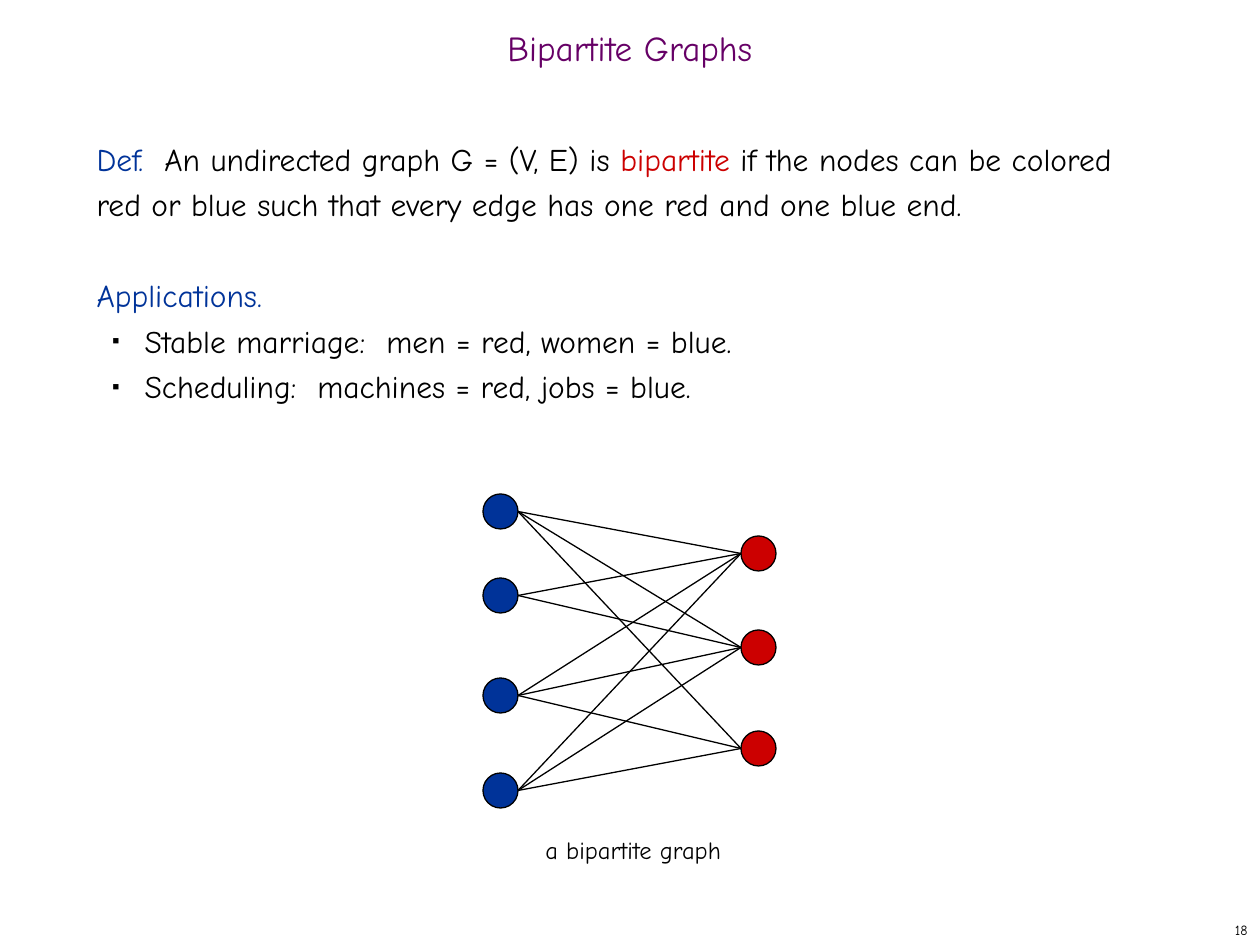
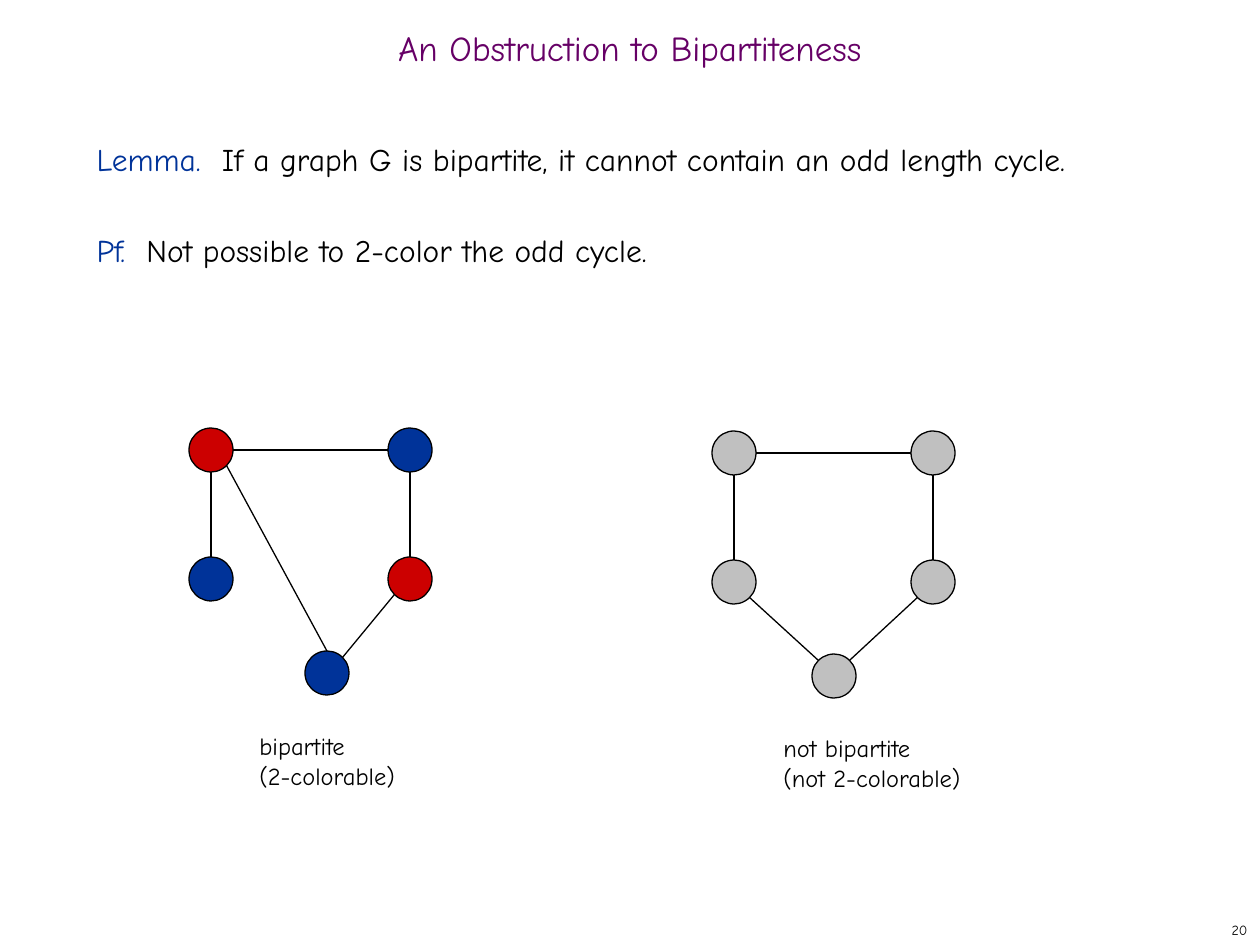
from dataclasses import dataclass
from math import cos, radians, sin

from lxml.etree import SubElement
from pptx import Presentation
from pptx.dml.color import RGBColor
from pptx.enum.shapes import MSO_CONNECTOR, MSO_SHAPE
from pptx.enum.text import MSO_ANCHOR, MSO_AUTO_SIZE, PP_ALIGN
from pptx.oxml.ns import qn
from pptx.util import Pt

EMU_PER_PX = 914400 / 126
EAST, SOUTH_EAST, SOUTH, SOUTH_WEST = 0, 45, 90, 135
WEST, NORTH_WEST, NORTH, NORTH_EAST = 180, 225, 270, 315


@dataclass(frozen=True)
class Theme:
    font: str = "Comic Neue"
    ink: str = "000000"
    purple: str = "660066"
    blue: str = "003399"
    red: str = "CC0000"
    gray: str = "C0C0C0"
    title_size: int = 20
    body_size: int = 18
    caption_size: int = 14
    number_size: int = 8
    leading: int = 26
    line_width: float = 0.75


THEME = Theme()


def px(length):
    return round(length * EMU_PER_PX)


def color(code):
    return RGBColor.from_string(code)


def style_span(span, size, code=THEME.ink):
    span.font.name = THEME.font
    span.font.size = Pt(size)
    span.font.color.rgb = color(code)


def style_frame(frame, size, code=THEME.ink, align=PP_ALIGN.LEFT):
    for para in frame.paragraphs:
        para.alignment = align
        for span in para.runs:
            style_span(span, size, code)


def place(shape, left, top, width, height):
    shape.left, shape.top = px(left), px(top)
    shape.width, shape.height = px(width), px(height)


def set_title(page, text):
    title = page.shapes.title
    place(title, 0, 21, 1260, 63)
    frame = title.text_frame
    frame.text = text
    frame.auto_size = MSO_AUTO_SIZE.NONE
    frame.vertical_anchor = MSO_ANCHOR.MIDDLE
    frame.paragraphs[0].line_spacing = 0.7
    style_frame(frame, THEME.title_size, THEME.purple, PP_ALIGN.CENTER)


def set_bullet(para, bulleted):
    properties = para._p.get_or_add_pPr()
    properties.set("marL", str(px(48 if bulleted else 0)))
    properties.set("indent", str(px(-32 if bulleted else 0)))
    if bulleted:
        para.level = 1
        bullet_color = SubElement(properties, qn("a:buClr"))
        SubElement(bullet_color, qn("a:srgbClr")).set("val", THEME.ink)
        SubElement(properties, qn("a:buSzPct")).set("val", "35000")
        SubElement(properties, qn("a:buChar")).set("char", "■")
    else:
        SubElement(properties, qn("a:buNone"))


def set_body(page, statements):
    body = page.placeholders[1]
    place(body, 84, 126, 1081, 746)
    frame = body.text_frame
    frame.auto_size = MSO_AUTO_SIZE.NONE
    frame.vertical_anchor = MSO_ANCHOR.TOP
    for index, (spans, bulleted) in enumerate(statements):
        para = frame.add_paragraph() if index else frame.paragraphs[0]
        para.line_spacing = Pt(THEME.leading)
        para.space_before = Pt(THEME.leading if index and not bulleted else 0)
        set_bullet(para, bulleted)
        for text, code in spans:
            span = para.add_run()
            span.text = text
            style_span(span, THEME.body_size, code)


def add_number(page, number):
    box = page.shapes.add_textbox(px(998), px(914), px(262), px(32))
    frame = box.text_frame
    frame.text = str(number)
    frame.word_wrap = False
    frame.vertical_anchor = MSO_ANCHOR.MIDDLE
    style_frame(frame, THEME.number_size, align=PP_ALIGN.RIGHT)


def add_caption(page, text, left, top, width, height):
    box = page.shapes.add_textbox(px(left), px(top), px(width), px(height))
    frame = box.text_frame
    frame.text = text
    frame.word_wrap = False
    frame.auto_size = MSO_AUTO_SIZE.SHAPE_TO_FIT_TEXT
    style_frame(frame, THEME.caption_size)


def add_node(page, left, top, size, code):
    node = page.shapes.add_shape(
        MSO_SHAPE.OVAL, px(left), px(top), px(size), px(size))
    node.shadow.inherit = False
    node.fill.solid()
    node.fill.fore_color.rgb = color(code)
    node.line.color.rgb = color(THEME.ink)
    node.line.width = Pt(THEME.line_width)
    return node


def rim_point(node, angle):
    radius = node.width / 2
    return (round(node.left + radius * (1 + cos(radians(angle)))),
            round(node.top + radius * (1 + sin(radians(angle)))))


def add_edge(page, start, start_angle, end, end_angle):
    edge = page.shapes.add_connector(
        MSO_CONNECTOR.STRAIGHT,
        *rim_point(start, start_angle), *rim_point(end, end_angle))
    edge.line.color.rgb = color(THEME.ink)
    edge.line.width = Pt(THEME.line_width)
    SubElement(edge._element.spPr, qn("a:effectLst"))


def add_page(deck, title, statements, number):
    page = deck.slides.add_slide(deck.slide_layouts[1])
    set_title(page, title)
    set_body(page, statements)
    add_number(page, number)
    return page


def add_two_sided_graph(page):
    blue_nodes = [add_node(page, 483, top, 35, THEME.blue)
                  for top in (494, 578, 678, 773)]
    red_nodes = [add_node(page, 741, top, 35, THEME.red)
                 for top in (536, 630, 731)]
    for row, blue_node in enumerate(blue_nodes):
        for column, red_node in enumerate(red_nodes):
            if (row, column) != (1, 2):
                add_edge(page, blue_node, EAST, red_node, WEST)


def add_five_node_graph(page, left, top, tip_offset, codes, tip_edges):
    offsets = [(0, 0), (199, 0), (0, 129), (199, 129), (tip_offset, 223)]
    nodes = [add_node(page, left + across, top + down, 44, code)
             for (across, down), code in zip(offsets, codes)]
    frame_edges = [(0, EAST, 1, WEST), (3, NORTH, 1, SOUTH),
                   (2, NORTH, 0, SOUTH), (4, NORTH_EAST, 3, SOUTH_WEST)]
    for start, start_angle, end, end_angle in frame_edges + tip_edges:
        add_edge(page, nodes[start], start_angle, nodes[end], end_angle)


def build_definition(deck):
    page = add_page(deck, "Bipartite Graphs", [
        ([("Def.  ", THEME.blue),
          ("An undirected graph G = (V, E) is ", THEME.ink),
          ("bipartite", THEME.red),
          (" if the nodes can be colored red or blue such that every edge "
           "has one red and one blue end.", THEME.ink)], False),
        ([("Applications.", THEME.blue)], False),
        ([("Stable marriage:  men = red, women = blue.", THEME.ink)], True),
        ([("Scheduling:  machines = red, jobs = blue.", THEME.ink)], True),
    ], 18)
    add_two_sided_graph(page)
    add_caption(page, "a bipartite graph", 533, 829, 203, 42)


def build_obstruction(deck):
    page = add_page(deck, "An Obstruction to Bipartiteness", [
        ([("Lemma.  ", THEME.blue),
          ("If a graph G is bipartite, it cannot contain an odd length cycle.",
           THEME.ink)], False),
        ([("Pf.  ", THEME.blue),
          ("Not possible to 2-color the odd cycle.", THEME.ink)], False),
    ], 20)
    two_colors = [THEME.red, THEME.blue, THEME.blue, THEME.red, THEME.blue]
    add_five_node_graph(page, 189, 428, 116, two_colors,
                        [(4, NORTH, 0, SOUTH_EAST)])
    add_five_node_graph(page, 712, 431, 100, [THEME.gray] * 5,
                        [(2, SOUTH_EAST, 4, NORTH_WEST)])
    add_caption(page, "bipartite\n(2-colorable)", 247, 725, 161, 72)
    add_caption(page, "not bipartite\n(not 2-colorable)", 771, 727, 204, 72)


def main():
    deck = Presentation()
    deck.slide_width, deck.slide_height = px(1260), px(945)
    build_definition(deck)
    build_obstruction(deck)
    deck.save("out.pptx")


if __name__ == "__main__":
    main()
